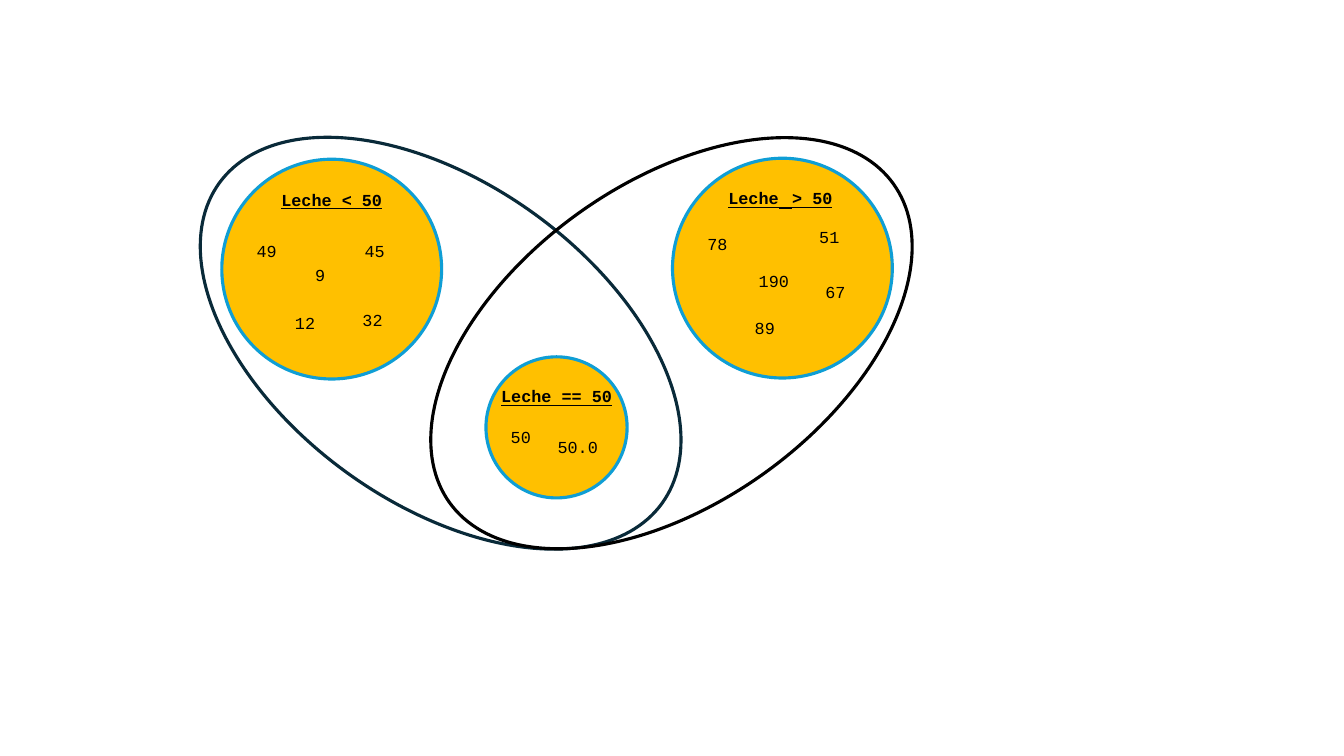
from pptx import Presentation
from pptx.dml.color import RGBColor
from pptx.enum.shapes import MSO_SHAPE
from pptx.enum.text import MSO_AUTO_SIZE, PP_ALIGN
from pptx.util import Inches, Pt

COLORS = {"white": "FFFFFF", "black": "000000", "navy": "092A39",
          "amber": "FFC000", "blue": "0F9ED5"}

prs = Presentation()
prs.slide_width, prs.slide_height = Inches(13.33), Inches(7.5)
slide = prs.slides.add_slide(prs.slide_layouts[6])
diagram = slide.shapes.add_group_shape().shapes


def add_ellipse(left, top, width, height, fill, line, rotation=0):
    ellipse = diagram.add_shape(MSO_SHAPE.OVAL, Inches(left), Inches(top),
                                Inches(width), Inches(height))
    ellipse.shadow.inherit = False
    ellipse.rotation = rotation
    if fill:
        ellipse.fill.solid()
        ellipse.fill.fore_color.rgb = RGBColor.from_string(COLORS[fill])
    else:
        ellipse.fill.background()
    ellipse.line.color.rgb = RGBColor.from_string(COLORS[line])
    ellipse.line.width = Pt(2.25)


def add_label(left, top, width, height, pieces, heading=False):
    """Add centred text made of (text, size) pieces; headings are bold and underlined."""
    label = diagram.add_textbox(Inches(left), Inches(top), Inches(width), Inches(height))
    frame = label.text_frame
    frame.word_wrap = True
    frame.auto_size = MSO_AUTO_SIZE.SHAPE_TO_FIT_TEXT
    paragraph = frame.paragraphs[0]
    paragraph.alignment = PP_ALIGN.CENTER
    font = paragraph.font
    font.name = "Courier New"
    font.size = Pt(12)
    font.color.rgb = RGBColor.from_string(COLORS["black"])
    if heading:
        font.bold = font.underline = True
    for text, size in pieces:
        run = paragraph.add_run()
        run.text = text
        if size != 12:
            run.font.size = Pt(size)


# Overlapping sets
add_ellipse(1.66, 1.82, 5.42, 3.17, "white", "navy", 35.9)
add_ellipse(3.95, 1.82, 5.42, 3.17, None, "black", 324.3)

# Subsets
for left, top, diameter in [(2.2, 1.58, 2.18), (6.67, 1.57, 2.18), (4.82, 3.54, 1.4)]:
    add_ellipse(left, top, diameter, diameter, "amber", "blue")

# Subset conditions
conditions = [
    (6.88, 1.76, 0.37, [("Leche", 12), (" ", 16), ("> 50", 12)]),
    (2.43, 1.83, 0.3, [("Leche < 50", 12)]),
    (4.66, 3.78, 0.3, [("Leche == 50", 12)]),
]
for left, top, height, pieces in conditions:
    add_label(left, top, 1.72, height, pieces, heading=True)

# Members of each subset
members = [
    ("78", 6.89, 2.27, 0.45), ("190", 7.34, 2.64, 0.67), ("89", 7.36, 3.1, 0.45),
    ("67", 8.06, 2.75, 0.45), ("51", 8, 2.2, 0.45),
    ("50", 4.94, 4.18, 0.45), ("50.0", 5.42, 4.28, 0.62),
    ("49", 2.42, 2.34, 0.45), ("9", 2.95, 2.58, 0.45), ("12", 2.8, 3.05, 0.45),
    ("32", 3.47, 3.02, 0.45), ("45", 3.49, 2.34, 0.45),
]
for value, left, top, width in members:
    add_label(left, top, width, 0.3, [(value, 12)])

prs.save("out.pptx")
